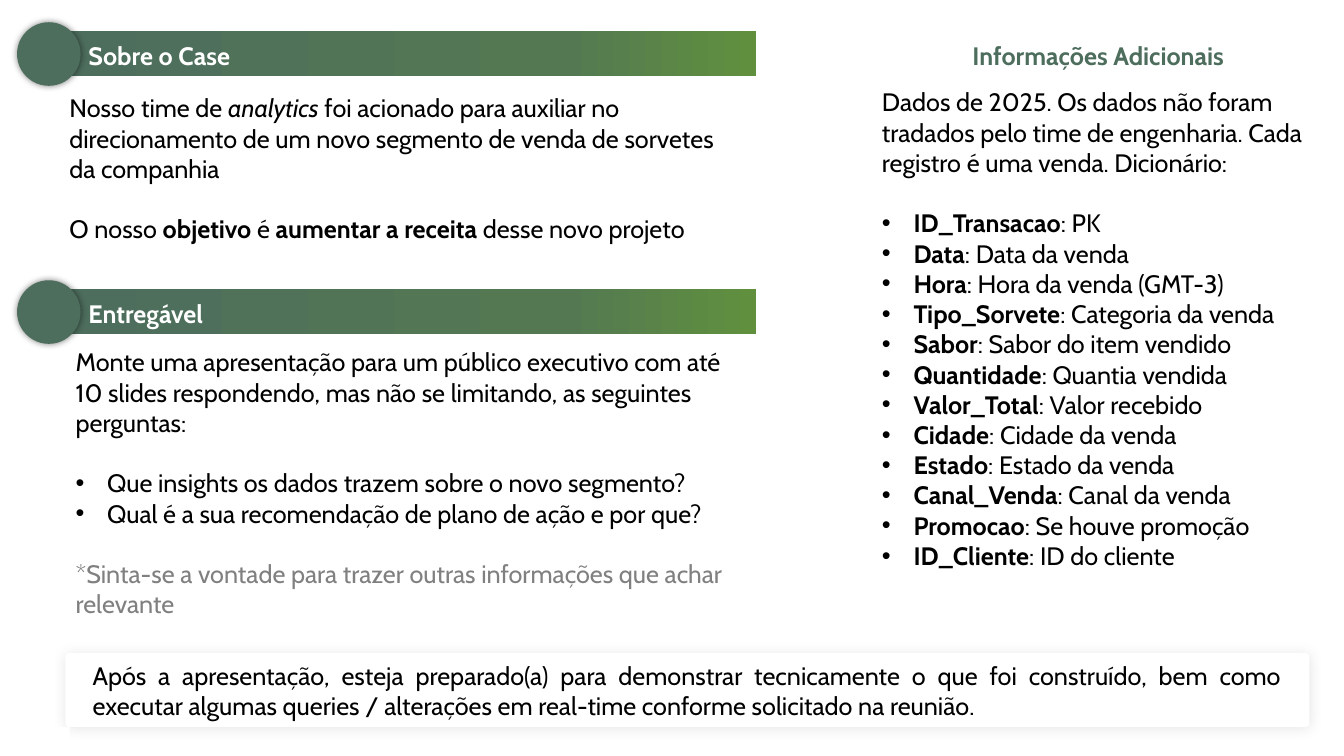
from copy import deepcopy
from dataclasses import dataclass

from lxml import etree
from pptx import Presentation
from pptx.dml.color import RGBColor
from pptx.enum.shapes import MSO_SHAPE
from pptx.enum.text import MSO_ANCHOR, MSO_AUTO_SIZE, PP_ALIGN
from pptx.oxml.ns import qn
from pptx.util import Pt

LEFT, CENTER, JUSTIFY = PP_ALIGN.LEFT, PP_ALIGN.CENTER, PP_ALIGN.JUSTIFY
TOP = MSO_ANCHOR.TOP
GROW = MSO_AUTO_SIZE.SHAPE_TO_FIT_TEXT
RECTANGLE, ROUNDED, OVAL = MSO_SHAPE.RECTANGLE, MSO_SHAPE.ROUNDED_RECTANGLE, MSO_SHAPE.OVAL
TWO_CONTENT = 3


@dataclass(frozen=True)
class Theme:
    font: str = "Cabin"
    size: float = 18
    gap: float = 21.6
    indent: float = 22.5
    white: str = "FFFFFF"
    black: str = "000000"
    gray: str = "808080"
    green: str = "4D6D5D"
    bar_stops: tuple = ((0, "4D6D5D"), (0.73, "547952"), (1, "60903E"))


def write(para, text, theme, color=None, bold=False, italic=False):
    span = para.add_run()
    span.text = text
    span.font.name = theme.font
    span.font.size = Pt(theme.size)
    span.font.bold = bold
    span.font.italic = italic
    span.font.color.rgb = RGBColor.from_string(color or theme.black)


def set_bullet(para, indent):
    """Give the paragraph a hanging bullet, or none when indent is zero."""
    properties = para._p.get_or_add_pPr()
    properties.set("marL", str(Pt(indent)))
    properties.set("indent", str(-Pt(indent)))
    if indent:
        etree.SubElement(properties, qn("a:buFont"), typeface="Arial")
        etree.SubElement(properties, qn("a:buChar"), char="•")
    else:
        etree.SubElement(properties, qn("a:buNone"))


class SlideBuilder:
    def __init__(self, slide, theme):
        self.slide = slide
        self.theme = theme

    def shape(self, kind, left, top, width, height, color):
        shape = self.slide.shapes.add_shape(kind, Pt(left), Pt(top), Pt(width), Pt(height))
        shape.shadow.inherit = False
        shape.fill.solid()
        shape.fill.fore_color.rgb = RGBColor.from_string(color)
        shape.line.fill.background()
        return shape

    def add_shadow(self, shape, blur, opacity):
        effects = shape._element.spPr.find(qn("a:effectLst"))
        shadow = etree.SubElement(effects, qn("a:outerShdw"), blurRad=str(Pt(blur)),
                                  dist="0", dir="0", algn="ctr", rotWithShape="0")
        tone = etree.SubElement(shadow, qn("a:srgbClr"), val=self.theme.black)
        etree.SubElement(tone, qn("a:alpha"), val=str(opacity * 1000))

    def bar(self, left, top, width, height):
        bar = self.shape(RECTANGLE, left, top, width, height, self.theme.green)
        bar.fill.gradient()
        bar.fill.gradient_angle = 0
        stops = bar._element.spPr.find(".//" + qn("a:gsLst"))
        stops.insert(1, deepcopy(stops[0]))
        for stop, (position, color) in zip(bar.fill.gradient_stops, self.theme.bar_stops):
            stop.position = position
            stop.color.rgb = RGBColor.from_string(color)

    def text(self, left, top, width, height, paragraphs, holder=None, inset=7.2):
        """Fill a new text box, or a placeholder brought to the front."""
        if holder is None:
            box = self.slide.shapes.add_textbox(Pt(left), Pt(top), Pt(width), Pt(height))
        else:
            box = self.slide.placeholders[holder]
            self.slide.shapes._spTree.append(box._element)
            box.left, box.top, box.width, box.height = Pt(left), Pt(top), Pt(width), Pt(height)
        frame = box.text_frame
        frame.word_wrap = True
        frame.auto_size = GROW
        frame.vertical_anchor = TOP
        frame.margin_left = Pt(inset)
        for index, (spans, layout) in enumerate(paragraphs):
            para = frame.add_paragraph() if index else frame.paragraphs[0]
            set_bullet(para, self.theme.indent if layout.get("bullet") else 0)
            para.alignment = layout.get("align", LEFT)
            para.line_spacing = 1.0
            para.space_before = Pt(self.theme.gap if layout.get("gap") else 0)
            para.space_after = Pt(0)
            for words, style in spans:
                write(para, words, self.theme, **style)

    def section_heading(self, top, label, holder=None):
        self.bar(36, top, 504, 31.7)
        circle = self.shape(OVAL, 12.2, top - 6.4, 45.4, 45.4, self.theme.green)
        self.add_shadow(circle, blur=5, opacity=51)
        spans = [(label, {"bold": True, "color": self.theme.white})]
        self.text(51.8, top + 2.9, 287.3, 29, [(spans, {})], holder, inset=11.4)


BOLD = {"bold": True}

CASE = [
    ([("Nosso time de ", {}), ("analytics", {"italic": True}),
      (" foi acionado para auxiliar no direcionamento de um novo segmento "
       "de venda de sorvetes da companhia", {})], {}),
    ([("O nosso ", {}), ("objetivo", BOLD), (" é ", {}),
      ("aumentar a receita ", BOLD), ("desse novo projeto", {})], {"gap": True}),
]

QUESTIONS = [
    "Que insights os dados trazem sobre o novo segmento?",
    "Qual é a sua recomendação de plano de ação e por que?",
]

DICTIONARY = {
    "ID_Transacao": "PK",
    "Data": "Data da venda",
    "Hora": "Hora da venda (GMT-3)",
    "Tipo_Sorvete": "Categoria da venda",
    "Sabor": "Sabor do item vendido",
    "Quantidade": "Quantia vendida",
    "Valor_Total": "Valor recebido",
    "Cidade": "Cidade da venda",
    "Estado": "Estado da venda",
    "Canal_Venda": "Canal da venda",
    "Promocao": "Se houve promoção",
    "ID_Cliente": "ID do cliente",
}


def deliverable_paragraphs(theme):
    intro = ("Monte uma apresentação para um público executivo com até 10 slides "
             "respondendo, mas não se limitando, as seguintes perguntas:")
    remark = "*Sinta-se a vontade para trazer outras informações que achar relevante"
    questions = [([(question, {})], {"bullet": True, "gap": index == 0})
                 for index, question in enumerate(QUESTIONS)]
    return [([(intro, {})], {}), *questions,
            ([(remark, {"color": theme.gray})], {"gap": True})]


def dictionary_paragraphs():
    intro = ("Dados de 2025. Os dados não foram tradados pelo time de engenharia. "
             "Cada registro é uma venda. Dicionário:")
    fields = [([(field, BOLD), (f": {meaning}", {})],
               {"bullet": True, "align": JUSTIFY, "gap": index == 0})
              for index, (field, meaning) in enumerate(DICTIONARY.items())]
    return [([(intro, {})], {}), *fields]


def main():
    theme = Theme()
    deck = Presentation()
    deck.slide_width, deck.slide_height = Pt(960), Pt(540)
    page = SlideBuilder(deck.slides.add_slide(deck.slide_layouts[TWO_CONTENT]), theme)

    note = page.shape(ROUNDED, 46.8, 466.6, 888.5, 52.6, theme.white)
    note.adjustments[0] = 0.05
    page.add_shadow(note, blur=10, opacity=10)
    page.shape(RECTANGLE, 0, 519.1, 49.7, 20.9, theme.white)

    page.section_heading(22.3, "Sobre o Case", holder=0)
    page.text(42.5, 62.6, 496.8, 116.6, CASE)

    page.section_heading(206.6, "Entregável")
    page.text(46.8, 244.1, 492.5, 203.8, deliverable_paragraphs(theme), holder=1)

    info_title = [("Informações Adicionais", {"bold": True, "color": theme.green})]
    page.text(622.8, 25.2, 323.3, 29, [(info_title, {"align": CENTER})])
    page.text(622.8, 58.3, 323.3, 356.4, dictionary_paragraphs(), holder=2)

    closing = ("Após a apresentação, esteja preparado(a) para demonstrar tecnicamente "
               "o que foi construído, bem como executar algumas queries / alterações "
               "em real-time conforme solicitado na reunião.")
    page.text(59, 468, 863.3, 51.1, [([(closing, {})], {"align": JUSTIFY})])

    deck.save("out.pptx")


if __name__ == "__main__":
    main()
